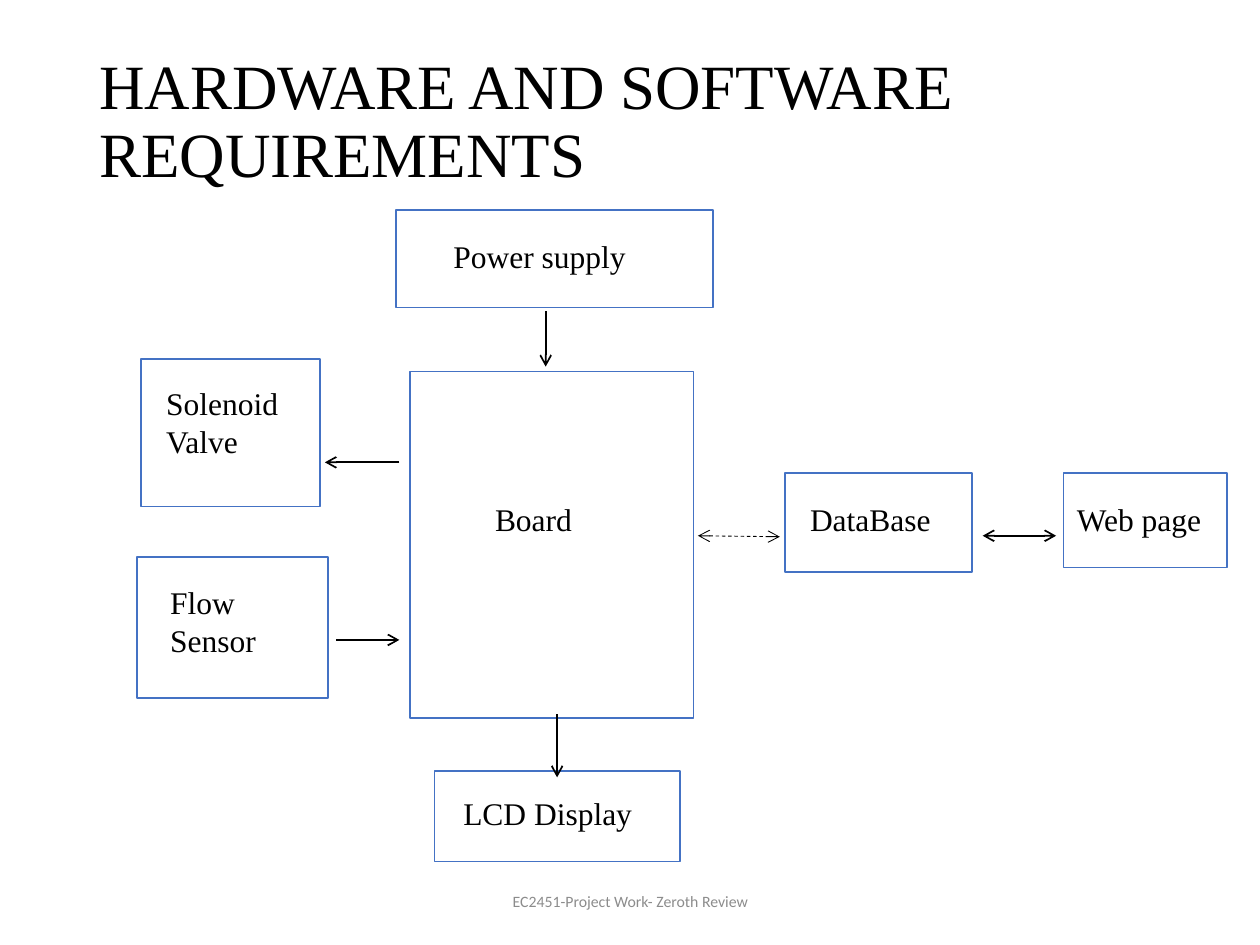
from lxml import etree
from pptx import Presentation
from pptx.dml.color import RGBColor
from pptx.enum import dml, shapes, text
from pptx.oxml import ns
from pptx.util import Cm, Pt

SERIF = "Times New Roman"
BLUE, BLACK, GREY = "4472C4", "000000", "8C8C8C"

TITLE = ("HARDWARE AND SOFTWARE REQUIREMENTS", (1.75, 0.64, 21.89, 3.68))
FOOTER = ("EC2451-Project Work- Zeroth Review", (8.41, 17.65, 8.59, 1.02))

BLOCKS = [
    ("Power supply", (7.98, 4.24, 6.4, 1.96), (8.89, 4.65, 4.52, 1.12)),
    ("Solenoid Valve", (2.84, 7.24, 3.61, 2.97), (3.1, 7.62, 3.23, 1.83)),
    ("Flow Sensor", (2.77, 11.23, 3.84, 2.84), (3.18, 11.63, 2.9, 1.8)),
    ("Board", (8.26, 7.49, 5.72, 6.99), (9.73, 9.96, 4.67, 1.02)),
    ("DataBase", (15.82, 9.53, 3.78, 2.01), (16.08, 9.96, 3.25, 1.02)),
    ("Web page", (21.44, 9.53, 3.3, 1.91), (21.46, 9.96, 3.07, 1.02)),
    ("LCD Display", (8.76, 15.54, 4.95, 1.83), (9.09, 15.88, 4.06, 1.02)),
]

ARROWS = [
    {"ends": (11, 6.27, 11, 7.39)},
    {"ends": (8.05, 9.32, 6.55, 9.32)},
    {"ends": (6.78, 12.9, 8.05, 12.9)},
    {"ends": (11.23, 14.4, 11.23, 15.67)},
    {"ends": (14.07, 10.8, 15.72, 10.82), "both": True, "width": 0.5, "dashed": True},
    {"ends": (19.81, 10.8, 21.29, 10.8), "both": True},
]


def color(value):
    return RGBColor.from_string(value)


def lengths(values):
    return [Cm(value) for value in values]


def add_text(slide, content, place, size=18, font=SERIF, fill=BLACK,
             anchor=text.MSO_ANCHOR.TOP, align=text.PP_ALIGN.LEFT, spacing=None):
    frame = slide.shapes.add_textbox(*lengths(place)).text_frame
    frame.word_wrap = True
    frame.vertical_anchor = anchor
    paragraph = frame.paragraphs[0]
    paragraph.text = content
    paragraph.alignment = align
    paragraph.line_spacing = spacing
    paragraph.font.size = Pt(size)
    paragraph.font.name = font
    paragraph.font.color.rgb = color(fill)


def add_box(slide, place):
    shape = slide.shapes.add_shape(shapes.MSO_SHAPE.RECTANGLE, *lengths(place))
    shape.shadow.inherit = False
    shape.fill.background()
    shape.line.color.rgb = color(BLUE)
    shape.line.width = Pt(1)


def add_arrow(slide, ends, both=False, width=1, dashed=False):
    connector = slide.shapes.add_connector(shapes.MSO_CONNECTOR.STRAIGHT, *lengths(ends))
    connector.line.color.rgb = color(BLACK)
    connector.line.width = Pt(width)
    if dashed:
        connector.line.dash_style = dml.MSO_LINE.DASH
    properties = connector.element.spPr
    outline = properties.find(ns.qn("a:ln"))
    for end in ("a:headEnd", "a:tailEnd") if both else ("a:tailEnd",):
        etree.SubElement(outline, ns.qn(end), type="arrow")
    etree.SubElement(properties, ns.qn("a:effectLst"))


def main():
    presentation = Presentation()
    presentation.slide_width, presentation.slide_height = Cm(25.4), Cm(19.05)
    slide = presentation.slides.add_slide(presentation.slide_layouts[6])
    middle = text.MSO_ANCHOR.MIDDLE
    add_text(slide, *TITLE, size=36, anchor=middle, spacing=0.9)
    add_text(slide, *FOOTER, size=9, font="Calibri", fill=GREY,
             anchor=middle, align=text.PP_ALIGN.CENTER)
    for label, box, label_place in BLOCKS:
        add_box(slide, box)
        add_text(slide, label, label_place)
    for arrow in ARROWS:
        add_arrow(slide, **arrow)
    presentation.save("out.pptx")


if __name__ == "__main__":
    main()
